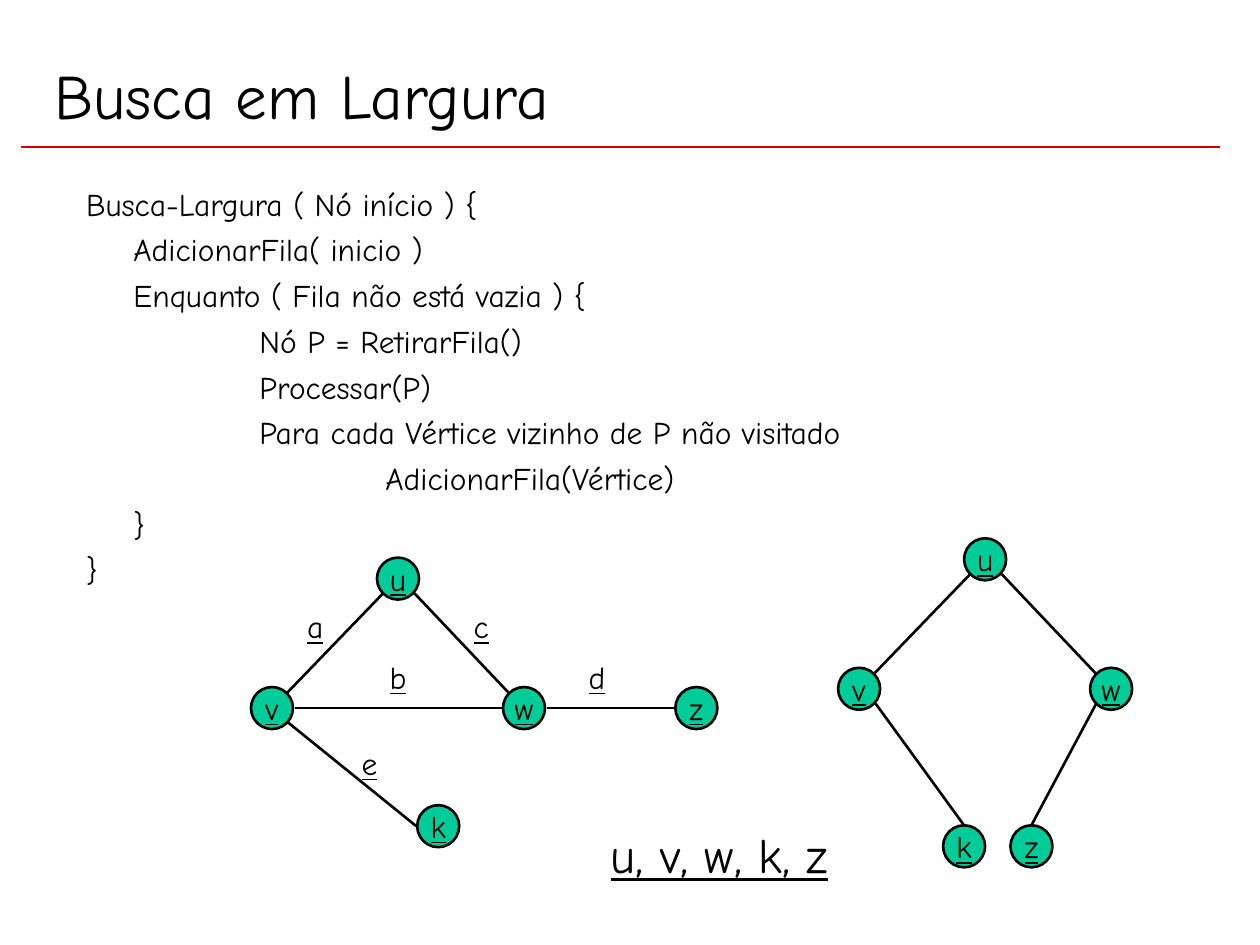
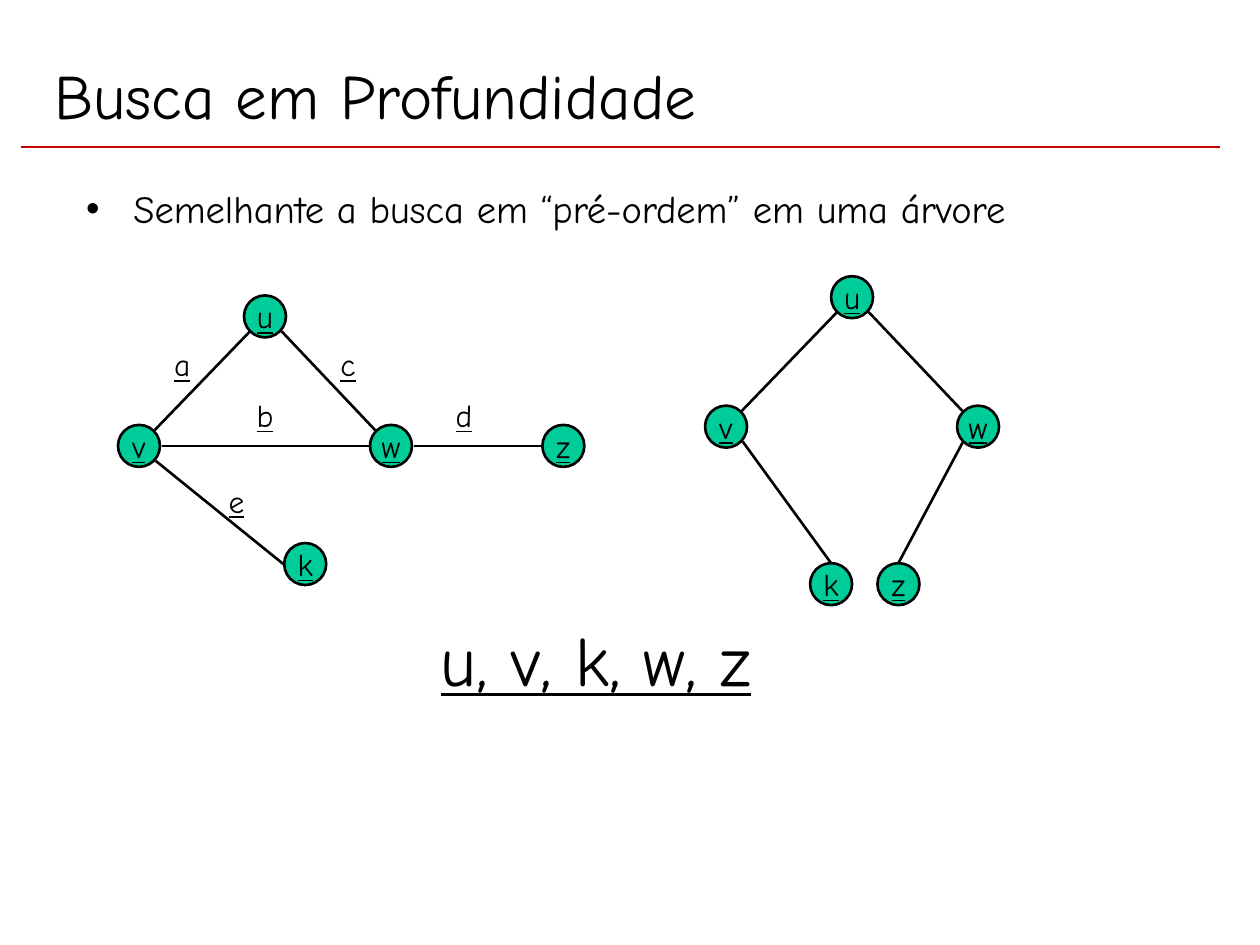
from dataclasses import dataclass

from lxml import etree
from pptx import Presentation
from pptx.dml.color import RGBColor
from pptx.enum.shapes import MSO_CONNECTOR, MSO_SHAPE
from pptx.enum.text import MSO_ANCHOR, MSO_AUTO_SIZE, PP_ALIGN
from pptx.oxml.ns import qn
from pptx.util import Pt

LINE = MSO_CONNECTOR.STRAIGHT
OVAL = MSO_SHAPE.OVAL
MIDDLE, TOP = MSO_ANCHOR.MIDDLE, MSO_ANCHOR.TOP
LEFT, CENTER = PP_ALIGN.LEFT, PP_ALIGN.CENTER
FIXED, GROW = MSO_AUTO_SIZE.NONE, MSO_AUTO_SIZE.SHAPE_TO_FIT_TEXT

COLORS = {"ink": "000000", "rule": "CC0000", "node": "00CC99"}
FONT = "Comic Neue"
NODE = 24
STROKE = 1.5
HANG = 27
TAB = 72


@dataclass(frozen=True)
class Node:
    name: str
    x: float
    y: float


@dataclass(frozen=True)
class Edge:
    start: str
    leave: str
    end: str
    enter: str


@dataclass(frozen=True)
class Label:
    text: str
    x: float
    top: float
    size: float = 18
    width: float = 24
    height: float = 29


@dataclass(frozen=True)
class Row:
    text: str
    depth: int = 0


@dataclass(frozen=True)
class Page:
    title: str
    rows: list[Row]
    size: float
    gap: float
    bullet: bool
    left: float
    top: float
    order: Label


PORTS = {
    "ne": (9, -9), "nw": (-9, -9), "se": (9.5, 8.5), "sw": (-8.5, 8.5),
    "e": (13, 0), "w": (-12.5, 0), "n": (0, -12),
}

GRAPH = {
    "v": Node("v", 0, 0),
    "u": Node("u", 72, -74),
    "w": Node("w", 144, 0),
    "z": Node("z", 242.5, 0),
    "k": Node("k", 95, 67.5),
}
LINKS = [
    Edge("u", "se", "w", "nw"),
    Edge("u", "sw", "v", "ne"),
    Edge("w", "w", "v", "e"),
    Edge("z", "w", "w", "e"),
    Edge("k", "w", "v", "se"),
]
MARKS = [
    Label("a", 24.7, -61),
    Label("c", 119.5, -61),
    Label("b", 72, -32),
    Label("d", 185.7, -32),
    Label("e", 55.7, 17),
]

TREE = {
    "v": Node("v", 335.5, -11),
    "u": Node("u", 407.5, -85),
    "w": Node("w", 479.5, -11),
    "z": Node("z", 434, 79),
    "k": Node("k", 395.5, 79),
}
BRANCHES = [
    Edge("u", "se", "w", "nw"),
    Edge("u", "sw", "v", "ne"),
    Edge("z", "n", "w", "sw"),
    Edge("k", "n", "v", "se"),
]

PAGES = [
    Page(
        "Busca em Largura",
        [
            Row("Busca-Largura ( Nó início ) {"),
            Row("AdicionarFila( inicio )", 1),
            Row("Enquanto ( Fila não está vazia ) {", 1),
            Row("Nó P = RetirarFila()", 2),
            Row("Processar(P)", 2),
            Row("Para cada Vértice vizinho de P não visitado", 2),
            Row("AdicionarFila(Vértice)", 3),
            Row("}", 1),
            Row("}"),
        ],
        18, 4.5, False, 155.4, 404.6,
        Label("u, v, w, k, z", 411, 467.5, 28, 144, 41),
    ),
    Page(
        "Busca em Profundidade",
        [Row("Semelhante a busca em “pré-ordem” em uma árvore", 1)],
        22, 5.5, True, 79.4, 254.8,
        Label("u, v, k, w, z", 340.5, 348.5, 40, 198, 55.5),
    ),
]


def paint(name: str) -> RGBColor:
    return RGBColor.from_string(COLORS[name])


def style(para, size: float, align=LEFT, under: bool = False) -> None:
    para.alignment = align
    font = para.font
    font.name, font.size = FONT, Pt(size)
    font.color.rgb = paint("ink")
    if under:
        font.underline = True


def place(shape, x: float, y: float, width: float, height: float) -> None:
    shape.left, shape.top = Pt(x), Pt(y)
    shape.width, shape.height = Pt(width), Pt(height)


def center(shape, text: str, size: float, anchor, fit) -> None:
    frame = shape.text_frame
    frame.word_wrap = False
    frame.auto_size = fit
    frame.vertical_anchor = anchor
    frame.text = text
    style(frame.paragraphs[0], size, CENTER, True)


def draw_line(slide, x1: float, y1: float, x2: float, y2: float,
              color: str = "ink") -> None:
    line = slide.shapes.add_connector(LINE, Pt(x1), Pt(y1), Pt(x2), Pt(y2))
    line.line.color.rgb = paint(color)
    line.line.width = Pt(STROKE)
    etree.SubElement(line._element.spPr, qn("a:effectLst"))


def draw_node(slide, node: Node, left: float, top: float) -> None:
    half = NODE / 2
    oval = slide.shapes.add_shape(OVAL, Pt(left + node.x - half),
                                  Pt(top + node.y - half), Pt(NODE), Pt(NODE))
    oval.shadow.inherit = False
    oval.fill.solid()
    oval.fill.fore_color.rgb = paint("node")
    oval.line.color.rgb = paint("ink")
    oval.line.width = Pt(STROKE)
    center(oval, node.name, 18, MIDDLE, FIXED)


def draw_edge(slide, edge: Edge, nodes: dict[str, Node],
              left: float, top: float) -> None:
    ends = []
    for name, port in ((edge.start, edge.leave), (edge.end, edge.enter)):
        dx, dy = PORTS[port]
        ends += [left + nodes[name].x + dx, top + nodes[name].y + dy]
    draw_line(slide, *ends)


def draw_label(slide, label: Label, left: float = 0, top: float = 0) -> None:
    box = slide.shapes.add_textbox(
        Pt(left + label.x - label.width / 2), Pt(top + label.top),
        Pt(label.width), Pt(label.height))
    center(box, label.text, label.size, TOP, GROW)


def draw_net(slide, nodes: dict[str, Node], edges: list[Edge],
             left: float, top: float) -> None:
    for node in nodes.values():
        draw_node(slide, node, left, top)
    for edge in edges:
        draw_edge(slide, edge, nodes, left, top)


def fill_title(slide, text: str) -> None:
    title = slide.shapes.title
    place(title, 24, 18, 648, 72)
    title.text_frame.text = text
    title.text_frame.vertical_anchor = MIDDLE
    title.text_frame.auto_size = FIXED
    style(title.text_frame.paragraphs[0], 36)


def fill_body(slide, page: Page) -> None:
    body = slide.placeholders[1]
    place(body, 42, 102, 612, 366)
    frame = body.text_frame
    frame.auto_size = FIXED
    frame.text = "\n".join(row.text for row in page.rows)
    for para, row in zip(frame.paragraphs, page.rows):
        style(para, page.size)
        para.space_before = Pt(page.gap)
        inset = HANG + TAB * (row.depth - 1) if row.depth else 0
        props = para._p.get_or_add_pPr()
        props.set("marL", str(Pt(inset)))
        props.set("indent", str(Pt(-HANG if page.bullet else 0)))
        if not page.bullet:
            etree.SubElement(props, qn("a:buNone"))


def build_page(deck, page: Page) -> None:
    slide = deck.slides.add_slide(deck.slide_layouts[1])
    draw_line(slide, 12, 84, 697, 84, "rule")
    fill_title(slide, page.title)
    fill_body(slide, page)
    draw_net(slide, GRAPH, LINKS, page.left, page.top)
    for mark in MARKS:
        draw_label(slide, mark, page.left, page.top)
    draw_net(slide, TREE, BRANCHES, page.left, page.top)
    draw_label(slide, page.order)


def main() -> None:
    deck = Presentation()
    deck.slide_width, deck.slide_height = Pt(720), Pt(540)
    for page in PAGES:
        build_page(deck, page)
    deck.save("out.pptx")


if __name__ == "__main__":
    main()
